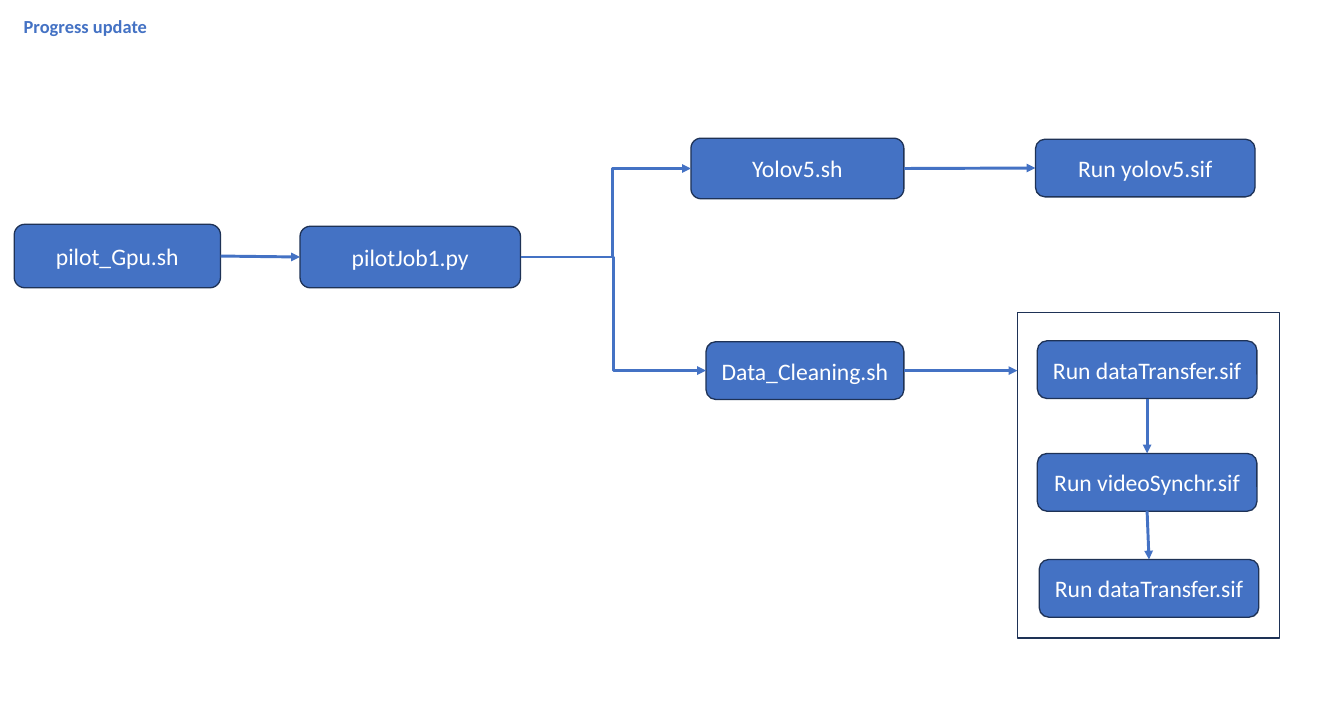
from lxml import etree
from pptx import Presentation
from pptx import util as u
from pptx.dml.color import RGBColor
from pptx.enum import shapes, text
from pptx.oxml.ns import qn

COLOURS = {"blue": "4472C4", "edge": "1E3256", "white": "FFFFFF"}
FONT = "Calibri"
COLUMNS, ROWS = 142, 75
TOP, LEFT, BOTTOM, RIGHT = range(4)
STRAIGHT, ELBOW = shapes.MSO_CONNECTOR.STRAIGHT, shapes.MSO_CONNECTOR.ELBOW

deck = Presentation()
deck.slide_width, deck.slide_height = u.Inches(14.2), u.Inches(7.5)
cell_w, cell_h = deck.slide_width / COLUMNS, deck.slide_height / ROWS
page = deck.slides.add_slide(deck.slide_layouts[5])


def area(column, row, columns, rows):
    return [round(n) for n in (column * cell_w, row * cell_h, columns * cell_w, rows * cell_h)]


def style_text(frame, size, colour, align, bold=False):
    frame.vertical_anchor = text.MSO_ANCHOR.MIDDLE
    para = frame.paragraphs[0]
    para.alignment = align
    font = para.runs[0].font
    font.name, font.size, font.bold = FONT, u.Pt(size), bold
    font.color.rgb = RGBColor.from_string(COLOURS[colour])


title = page.shapes.title
title.left, title.top, title.width, title.height = area(1.5, 0.3, 115, 5.2)
title.text_frame.text = "Progress update"
title.text_frame.auto_size = text.MSO_AUTO_SIZE.NONE
title.text_frame.paragraphs[0].line_spacing = 0.9
style_text(title.text_frame, 14, "blue", text.PP_ALIGN.LEFT, True)

steps = {
    "pilot": ("pilot_Gpu.sh", 1.5, 23.7, 21.8, 6.7),
    "job": ("pilotJob1.py", 31.7, 23.9, 23.3, 6.5),
    "yolo": ("Yolov5.sh", 73, 14.6, 22.5, 6.4),
    "run_yolo": ("Run yolov5.sif", 109.4, 14.7, 23.2, 6.1),
    "cleaning": ("Data_Cleaning.sh", 74.6, 36.1, 20.9, 6.1),
    "transfer": ("Run dataTransfer.sif", 109.6, 36, 23.2, 6.1),
    "sync": ("Run videoSynchr.sif", 109.6, 47.9, 23.2, 6.1),
    "transfer_back": ("Run dataTransfer.sif", 109.8, 59.1, 23.2, 6.1),
    "group": ("", 107.5, 33, 27.7, 34.4),
}
boxes = {}
for name, (label, *place) in steps.items():
    preset = shapes.MSO_SHAPE.ROUNDED_RECTANGLE if label else shapes.MSO_SHAPE.RECTANGLE
    box = boxes[name] = page.shapes.add_shape(preset, *area(*place))
    box.shadow.inherit = False
    box.line.color.rgb = RGBColor.from_string(COLOURS["edge"])
    box.line.width = u.Pt(1)
    if label:
        box.fill.solid()
        box.fill.fore_color.rgb = RGBColor.from_string(COLOURS["blue"])
        box.text_frame.text = label
        style_text(box.text_frame, 18, "white", text.PP_ALIGN.CENTER)
    else:
        box.fill.background()

links = [
    ("pilot", RIGHT, "job", LEFT, STRAIGHT, None),
    ("job", RIGHT, "yolo", LEFT, ELBOW, 54100),
    ("job", RIGHT, "cleaning", LEFT, ELBOW, 50000),
    ("yolo", RIGHT, "run_yolo", LEFT, STRAIGHT, None),
    ("cleaning", RIGHT, "group", None, STRAIGHT, None),
    ("transfer", BOTTOM, "sync", TOP, STRAIGHT, None),
    ("sync", BOTTOM, "transfer_back", TOP, STRAIGHT, None),
]
for source, exit_side, target, entry_side, kind, bend in links:
    start, end = boxes[source], boxes[target]
    middle = start.top + start.height // 2
    arrow = page.shapes.add_connector(kind, start.left + start.width, middle, end.left, middle)
    arrow.begin_connect(start, exit_side)
    if entry_side is not None:
        arrow.end_connect(end, entry_side)
    arrow.line.color.rgb = RGBColor.from_string(COLOURS["blue"])
    arrow.line.width = u.Pt(2.25)
    properties = arrow._element.spPr
    etree.SubElement(properties.find(qn("a:ln")), qn("a:tailEnd"), type="triangle")
    etree.SubElement(properties, qn("a:effectLst"))
    if bend:
        guides = properties.find(qn("a:prstGeom")).get_or_add_avLst()
        etree.SubElement(guides, qn("a:gd"), name="adj1", fmla=f"val {bend}")

deck.save("out.pptx")
